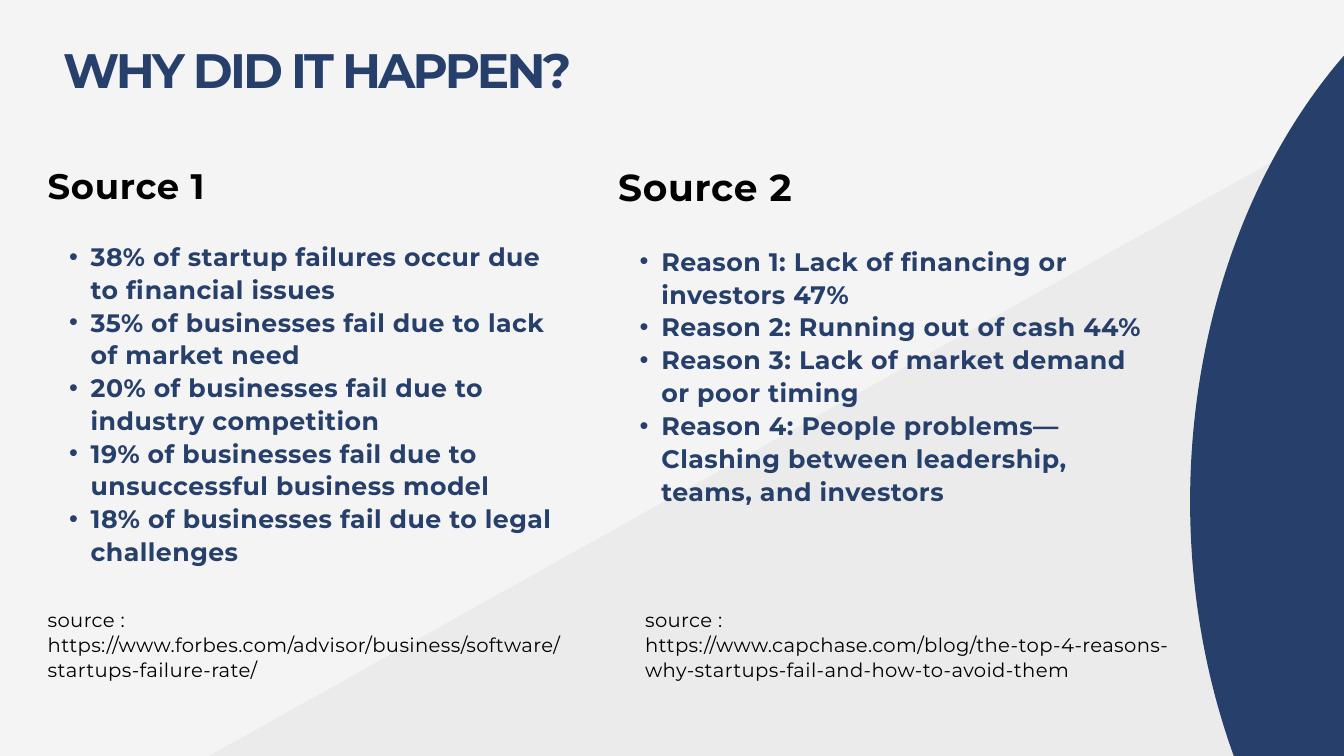
from lxml.etree import SubElement
from pptx import Presentation
from pptx.dml.color import RGBColor
from pptx.enum.shapes import MSO_SHAPE
from pptx.enum.text import MSO_ANCHOR, MSO_AUTO_SIZE, PP_ALIGN
from pptx.oxml.ns import qn
from pptx.util import Inches, Pt

COLORS = {"background": "F4F4F4", "band": "545454", "navy": "263F6B", "black": "000000"}
FONT = "Montserrat"

TITLE = {"size": 51.8, "color": "navy", "bold": True, "spacing": -3, "line": 50.8}
CITATION = {"size": 21, "color": "black", "bold": False, "spacing": 0.4, "line": 27.3}

COLUMNS = [
    {
        "heading": "Source 1",
        "reasons": [
            "38% of startup failures occur due to financial issues",
            "35% of businesses fail due to lack of market need",
            "20% of businesses fail due to industry competition",
            "19% of businesses fail due to unsuccessful business model",
            "18% of businesses fail due to legal challenges",
        ],
        "url": "https://www.forbes.com/advisor/business/software/startups-failure-rate/",
        "box": (0.71, 2.39, 7.62, 5.94),
        "citation_box": (0.71, 9.01, 8.1, 1.12),
        "heading_size": 37.9, "heading_line": 49.3, "gap": 34.5,
        "size": 27, "line": 35.1,
    },
    {
        "heading": "Source 2",
        "reasons": [
            "Reason 1: Lack of financing or investors 47%",
            "Reason 2: Running out of cash 44%",
            "Reason 3: Lack of market demand or poor timing",
            "Reason 4: People problems—Clashing between leadership, teams, and investors",
        ],
        "url": "https://www.capchase.com/blog/"
               "the-top-4-reasons-why-startups-fail-and-how-to-avoid-them",
        "box": (9.2, 2.39, 8.02, 5.07),
        "citation_box": (9.6, 9.01, 8.11, 1.12),
        "heading_size": 40.2, "heading_line": 52.2, "gap": 36.5,
        "size": 27.1, "line": 35.2,
    },
]


def rgb(name):
    return RGBColor.from_string(COLORS[name])


def add_backdrop(s, kind, box, color, rotation=0, alpha=None):
    """Add a borderless shape; alpha is its opacity in percent."""
    sp = s.shapes.add_shape(kind, *map(Inches, box))
    sp.shadow.inherit = False
    sp.rotation = rotation
    sp.fill.solid()
    sp.fill.fore_color.rgb = rgb(color)
    sp.line.fill.background()
    if alpha is not None:
        clr = sp.fill._xPr.find(qn("a:solidFill"))[0]
        SubElement(clr, qn("a:alpha")).set("val", str(alpha * 1000))


def prepare_frame(sp):
    """Remove insets, wrap and anchor the text at the top."""
    tf = sp.text_frame
    frame_format = {
        "margin_left": 0, "margin_top": 0, "margin_right": 0, "margin_bottom": 0,
        "word_wrap": True, "auto_size": MSO_AUTO_SIZE.NONE,
        "vertical_anchor": MSO_ANCHOR.TOP,
    }
    for name, value in frame_format.items():
        setattr(tf, name, value)
    return tf


def add_text_box(s, box):
    return prepare_frame(s.shapes.add_textbox(*map(Inches, box)))


def write(p, text, style, before=0):
    p.alignment = PP_ALIGN.LEFT
    p.line_spacing = Pt(style["line"])
    p.space_before = Pt(before)
    r = p.add_run()
    r.text = text
    font_format = {"name": FONT, "size": Pt(style["size"]), "bold": style["bold"]}
    for name, value in font_format.items():
        setattr(r.font, name, value)
    r.font.color.rgb = rgb(style["color"])
    r._r.get_or_add_rPr().set("spc", str(round(style["spacing"] * 100)))


def add_bullet(p):
    pPr = p._p.get_or_add_pPr()
    pPr.set("marL", str(Inches(0.64)))
    pPr.set("indent", str(Inches(-0.32)))
    SubElement(pPr, qn("a:buFont")).set("typeface", "Arial")
    SubElement(pPr, qn("a:buChar")).set("char", "•")


def set_title(s, text, box):
    sp = s.shapes.title
    sp.left, sp.top, sp.width, sp.height = map(Inches, box)
    write(prepare_frame(sp).paragraphs[0], text, TITLE)


def add_reasons(s, column):
    heading = {"size": column["heading_size"], "line": column["heading_line"],
               "color": "black", "bold": True, "spacing": 0.8}
    reason = {"size": column["size"], "line": column["line"],
              "color": "navy", "bold": True, "spacing": 0.5}
    tf = add_text_box(s, column["box"])
    write(tf.paragraphs[0], column["heading"], heading)
    for i, text in enumerate(column["reasons"]):
        p = tf.add_paragraph()
        add_bullet(p)
        write(p, text, reason, before=0 if i else column["gap"])


def add_citation(s, column):
    tf = add_text_box(s, column["citation_box"])
    write(tf.paragraphs[0], "source :", CITATION)
    write(tf.add_paragraph(), column["url"], CITATION)


def main():
    prs = Presentation()
    prs.slide_width, prs.slide_height = Inches(20), Inches(11.25)
    s = prs.slides.add_slide(prs.slide_layouts[5])
    s.background.fill.solid()
    s.background.fill.fore_color.rgb = rgb("background")

    add_backdrop(s, MSO_SHAPE.RECTANGLE, (0.34, 5.68, 28.2, 10.48), "band",
                 rotation=330.8, alpha=5)
    add_backdrop(s, MSO_SHAPE.OVAL, (17.71, -1.41, 13.62, 17.75), "navy")
    set_title(s, "WHY DID IT HAPPEN?", (0.94, 0.76, 10.57, 0.72))
    for column in COLUMNS:
        add_reasons(s, column)
        add_citation(s, column)

    prs.save("out.pptx")


if __name__ == "__main__":
    main()
